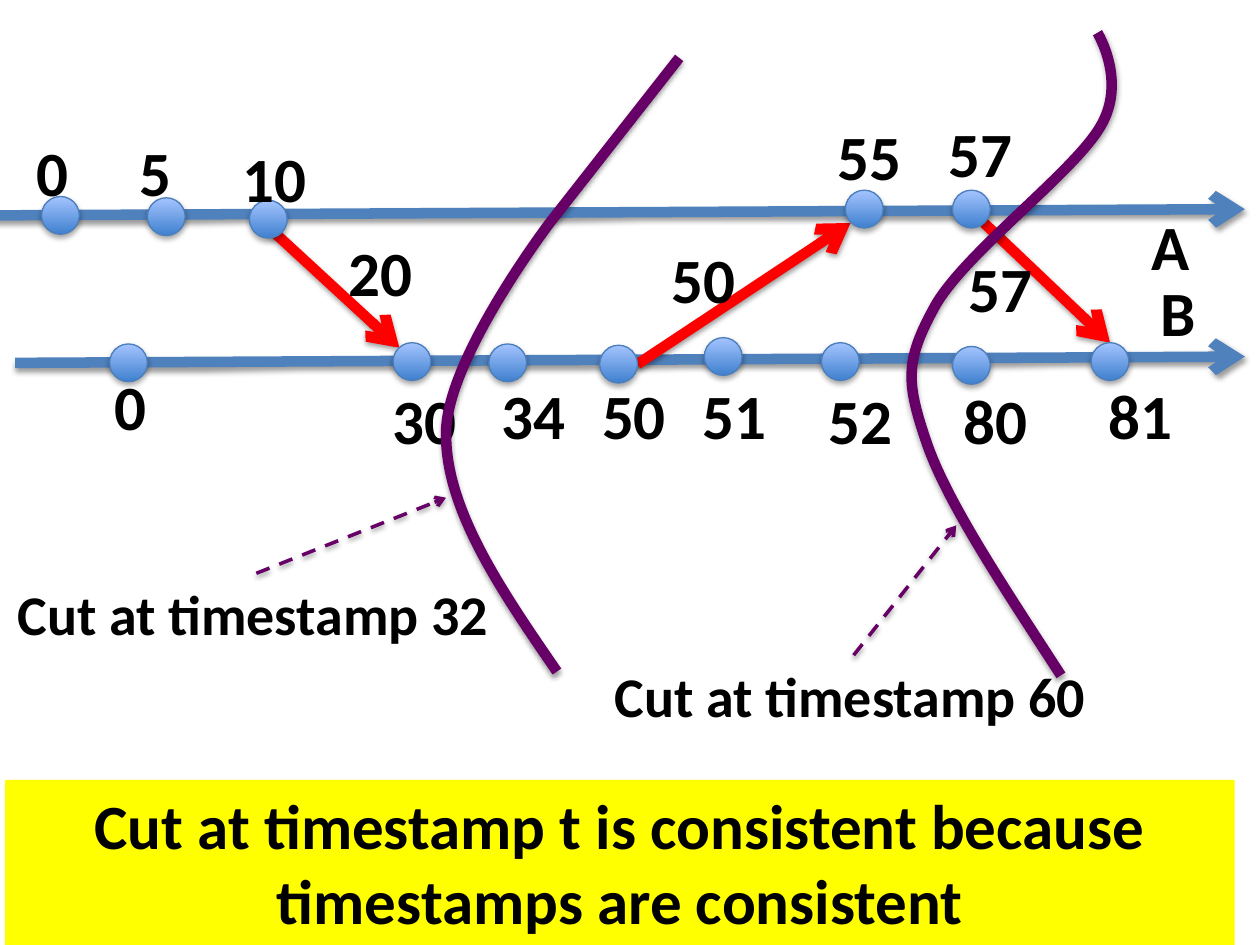
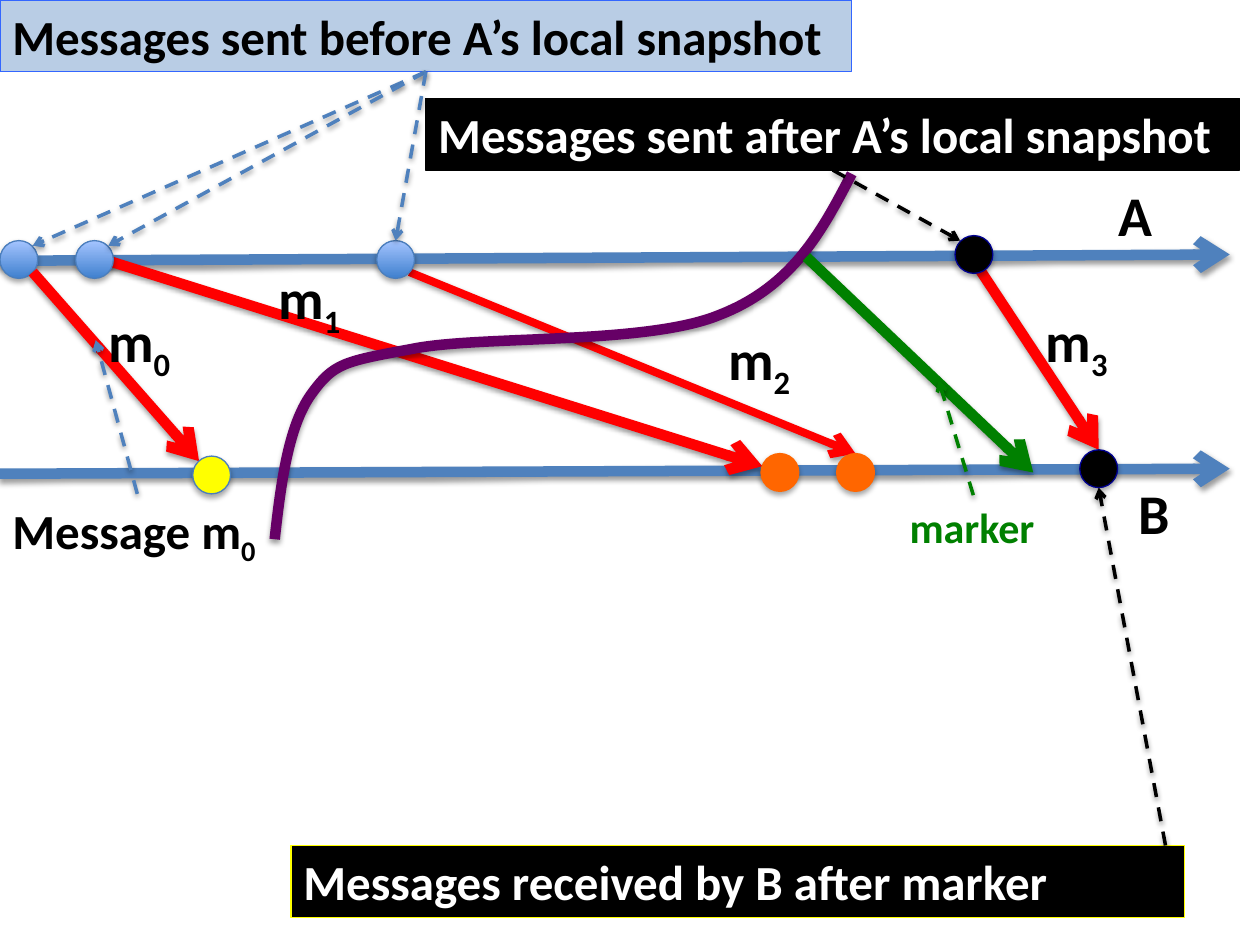
import pptx
import pptx.util
import pptx.dml.color
import pptx.enum.dml
import pptx.enum.shapes
import pptx.enum.text
import pptx.oxml
import pptx.oxml.ns

PX = 9144  # EMU in one px, 100 px to the inch
FONT = "Calibri"
DOT = 30
TOP, BOTTOM = 0, 2  # connection sites of a rectangle
COLORS = {
    "black": "000000", "white": "FFFFFF", "timeline": "4F81BD",
    "message": "FF0000", "cut": "660066", "marker": "008000",
    "dot_dark": "3F80CE", "dot_light": "A4C4FF", "dot_line": "4B7EBC",
    "navy": "000090", "orange": "FF6600", "yellow": "FFFF00",
    "pale_blue": "B9CDE5", "blue": "3366FF",
}


def rgb(name):
    return pptx.dml.color.RGBColor.from_string(COLORS[name])


def px(*values):
    return [round(v * PX) for v in values]


def add_shadow(sp, dist, alpha):
    """Soft shadow straight below the shape."""
    sp._element.spPr.append(pptx.oxml.parse_xml(
        f'<a:effectLst {pptx.oxml.ns.nsdecls("a")}>'
        f'<a:outerShdw blurRad="40000" dist="{dist}" dir="5400000" rotWithShape="0">'
        f'<a:srgbClr val="{COLORS["black"]}"><a:alpha val="{alpha}"/></a:srgbClr>'
        '</a:outerShdw></a:effectLst>'))


def set_line(sp, color, width):
    sp.line.color.rgb = rgb(color)
    sp.line.width = pptx.util.Pt(width)


def add_text(slide, text, box, size=36, color="black", fill=None, line=None,
             wrap=False, align=None):
    """Bold text box; the character after each underscore is a subscript."""
    sp = slide.shapes.add_textbox(*px(*box))
    if fill:
        sp.fill.solid()
        sp.fill.fore_color.rgb = rgb(fill)
    if line:
        set_line(sp, line, 0.75)
    tf = sp.text_frame
    tf.word_wrap = wrap
    tf.auto_size = pptx.enum.text.MSO_AUTO_SIZE.SHAPE_TO_FIT_TEXT
    p = tf.paragraphs[0]
    p.alignment = align
    for i, part in enumerate(text.split("_")):
        r = p.add_run()
        r.text = part
        r.font.name = FONT
        r.font.size = pptx.util.Pt(size)
        r.font.bold = True
        r.font.color.rgb = rgb(color)
        if i:
            r._r.get_or_add_rPr().set("baseline", "-25000")
    return sp


def add_arrow(slide, start, end, color, width=6, dashed=False):
    cxn = slide.shapes.add_connector(
        pptx.enum.shapes.MSO_CONNECTOR.STRAIGHT, *px(*start, *end))
    set_line(cxn, color, width)
    if dashed:
        cxn.line.dash_style = pptx.enum.dml.MSO_LINE.DASH
    cxn.line._get_or_add_ln().append(pptx.oxml.parse_xml(
        f'<a:tailEnd {pptx.oxml.ns.nsdecls("a")} type="arrow"/>'))
    add_shadow(cxn, 20000, 38000)
    return cxn


def add_pointer(slide, box, site, end, color):
    """Dashed arrow from the middle of a box's top or bottom side."""
    x = (box.left + box.width / 2) / PX
    y = (box.top + (box.height if site == BOTTOM else 0)) / PX
    cxn = add_arrow(slide, (x, y), end, color, width=2, dashed=True)
    cxn.begin_connect(box, site)


def add_dot(slide, x, y, fill=None, line="dot_line"):
    """Event on a timeline; blue gradient unless a fill is given."""
    sp = slide.shapes.add_shape(
        pptx.enum.shapes.MSO_SHAPE.OVAL, *px(x, y, DOT, DOT))
    if fill:
        sp.fill.solid()
        sp.fill.fore_color.rgb = rgb(fill)
    else:
        sp.fill.gradient()
        sp.fill.gradient_angle = 90
        for stop, name in zip(sp.fill.gradient_stops, ("dot_dark", "dot_light")):
            stop.color.rgb = rgb(name)
    set_line(sp, line, 0.75)
    add_shadow(sp, 23000, 35000)


def fit_frame(sp, path, box):
    """Give the outline this frame and keep its points where they are."""
    left, top, width, height = px(*box)
    dx, dy = sp.left - left, sp.top - top
    for pt in path.iter(pptx.oxml.ns.qn("a:pt")):
        pt.set("x", str(int(pt.get("x")) + dx))
        pt.set("y", str(int(pt.get("y")) + dy))
    path.set("w", str(width))
    path.set("h", str(height))
    sp.left, sp.top, sp.width, sp.height = left, top, width, height


def add_cut(slide, box, start, curves, end=None):
    """Cubic curves from start, then a straight line to end if there is one."""
    points = [pt for curve in curves for pt in curve] + ([end] if end else [])
    builder = slide.shapes.build_freeform(*px(*start))
    builder.add_line_segments([px(*pt) for pt in points], close=False)
    sp = builder.convert_to_shape()
    path = next(sp._element.iter(pptx.oxml.ns.qn("a:path")))
    # Turn every three straight steps into one cubic segment
    steps = path.findall(pptx.oxml.ns.qn("a:lnTo"))
    for i in range(0, 3 * len(curves), 3):
        cubic = pptx.oxml.parse_xml(
            f'<a:cubicBezTo {pptx.oxml.ns.nsdecls("a")}/>')
        steps[i].addprevious(cubic)
        for step in steps[i:i + 3]:
            cubic.append(step[0])
            path.remove(step)
    fit_frame(sp, path, box)
    sp.fill.background()
    set_line(sp, "cut", 6)
    add_shadow(sp, 20000, 38000)


def build_timestamp_cuts(slide):
    # Timelines and messages
    for start, end in (((12, 288), (988, 283)), ((-12, 171), (988, 166))):
        add_arrow(slide, start, end, "timeline")
    for start, end in (((203, 171), (317, 276)), ((506, 289), (675, 177)),
                       ((781, 177), (881, 272))):
        add_arrow(slide, start, end, "message")

    # Events of A, then of B
    for x, y in ((33, 156), (117, 157), (198, 159), (671, 151), (756, 151),
                 (87, 273), (312, 272), (388, 273), (476, 274), (559, 268),
                 (652, 272), (756, 275), (866, 272)):
        add_dot(slide, x, y)

    # Timestamps and process names
    for label, x, y in (
            ("0", 19, 101), ("5", 101, 101), ("10", 183, 106), ("55", 655, 88),
            ("57", 743, 86), ("20", 267, 180), ("50", 523, 186), ("57", 759, 193),
            ("0", 81, 287), ("30", 302, 298), ("34", 388, 294), ("50", 468, 294),
            ("51", 548, 294), ("52", 648, 298), ("80", 755, 298), ("81", 870, 294),
            ("A", 904, 160), ("B", 911, 212)):
        width = {"A": 51, "B": 48}.get(label, 46 if len(label) == 1 else 71)
        add_text(slide, label, (x, y, width, 71))

    # Cuts and their captions
    add_cut(slide, (354, 46, 185, 487), (442, 533),
            [((398, 469), (354, 405), (354, 345)),
             ((353, 286), (437, 176), (437, 176))], (539, 46))
    add_cut(slide, (724, 26, 158, 509), (842, 536),
            [((798, 468), (753, 401), (736, 353)),
             ((719, 304), (718, 287), (741, 245)),
             ((763, 203), (851, 138), (873, 101)),
             ((895, 65), (871, 26), (871, 26))])
    for time, x, y, tip in ((32, 4, 455, (354, 395)), (60, 478, 520, (759, 417))):
        caption = add_text(slide, f"Cut at timestamp {time}", (x, y, 399, 64), size=32)
        add_pointer(slide, caption, TOP, tip, "cut")

    # Conclusion
    add_text(slide, "Cut at timestamp t is consistent because timestamps are consistent",
             (4, 619, 976, 131), fill="yellow", wrap=True,
             align=pptx.enum.text.PP_ALIGN.CENTER)


def build_marker_snapshot(slide):
    # Timelines, messages, cut and marker
    for start, end in (((0, 207), (976, 202)), ((0, 376), (976, 372))):
        add_arrow(slide, start, end, "timeline")
    add_arrow(slide, (70, 202), (605, 370), "message")
    add_arrow(slide, (325, 216), (679, 360), "message", width=4.5)
    add_cut(slide, (218, 138, 458, 290), (218, 428),
            [((223, 383), (229, 338), (247, 313)),
             ((265, 288), (273, 287), (327, 277)),
             ((381, 266), (513, 274), (571, 250)),
             ((630, 227), (653, 182), (676, 138))])
    add_arrow(slide, (640, 204), (820, 375), "marker")
    add_arrow(slide, (773, 207), (872, 357), "message")

    # Sent events, first message, received events
    for x in (0, 60, 299):
        add_dot(slide, x, 191)
    add_dot(slide, 758, 187, "black", "navy")
    add_arrow(slide, (26, 216), (158, 366), "message")
    add_dot(slide, 153, 362, "yellow")
    for x in (604, 664):
        add_dot(slide, x, 360, "orange", "orange")
    add_dot(slide, 857, 357, "black", "navy")

    # Process and message names
    for label, x, y, width in (("A", 878, 138, 47), ("B", 894, 375, 45),
                               ("m_0", 76, 238, 72), ("m_1", 211, 204, 72),
                               ("m_2", 568, 253, 72), ("m_3", 820, 238, 72)):
        add_text(slide, label, (x, y, width, 64), size=32)

    # Captions with dashed pointers
    first = add_text(slide, "Message m_0", (0, 392, 218, 57), size=28)
    add_pointer(slide, first, TOP, (76, 270), "timeline")
    before = add_text(slide, "Messages sent before A’s local snapshot", (0, 0, 676, 57),
                      size=28, fill="pale_blue", line="blue")
    for tip in ((26, 195), (86, 195), (314, 191)):
        add_pointer(slide, before, BOTTOM, tip, "timeline")
    after = add_text(slide, "Messages sent after A’s local snapshot", (338, 78, 646, 57),
                     size=28, color="white", fill="black", line="black")
    add_pointer(slide, after, BOTTOM, (762, 191), "black")
    add_text(slide, "Messages received by B after marker", (231, 671, 709, 57),
             size=28, color="white", fill="black", line="yellow", wrap=True)
    add_arrow(slide, (925, 671), (872, 387), "black", width=2, dashed=True)
    marker = add_text(slide, "marker", (712, 393, 121, 50), size=24, color="marker")
    add_pointer(slide, marker, TOP, (745, 302), "marker")


def main():
    prs = pptx.Presentation()
    prs.slide_width, prs.slide_height = px(1000, 750)
    blank = prs.slide_layouts[6]
    for build in (build_timestamp_cuts, build_marker_snapshot):
        build(prs.slides.add_slide(blank))
    prs.save("out.pptx")


if __name__ == "__main__":
    main()
